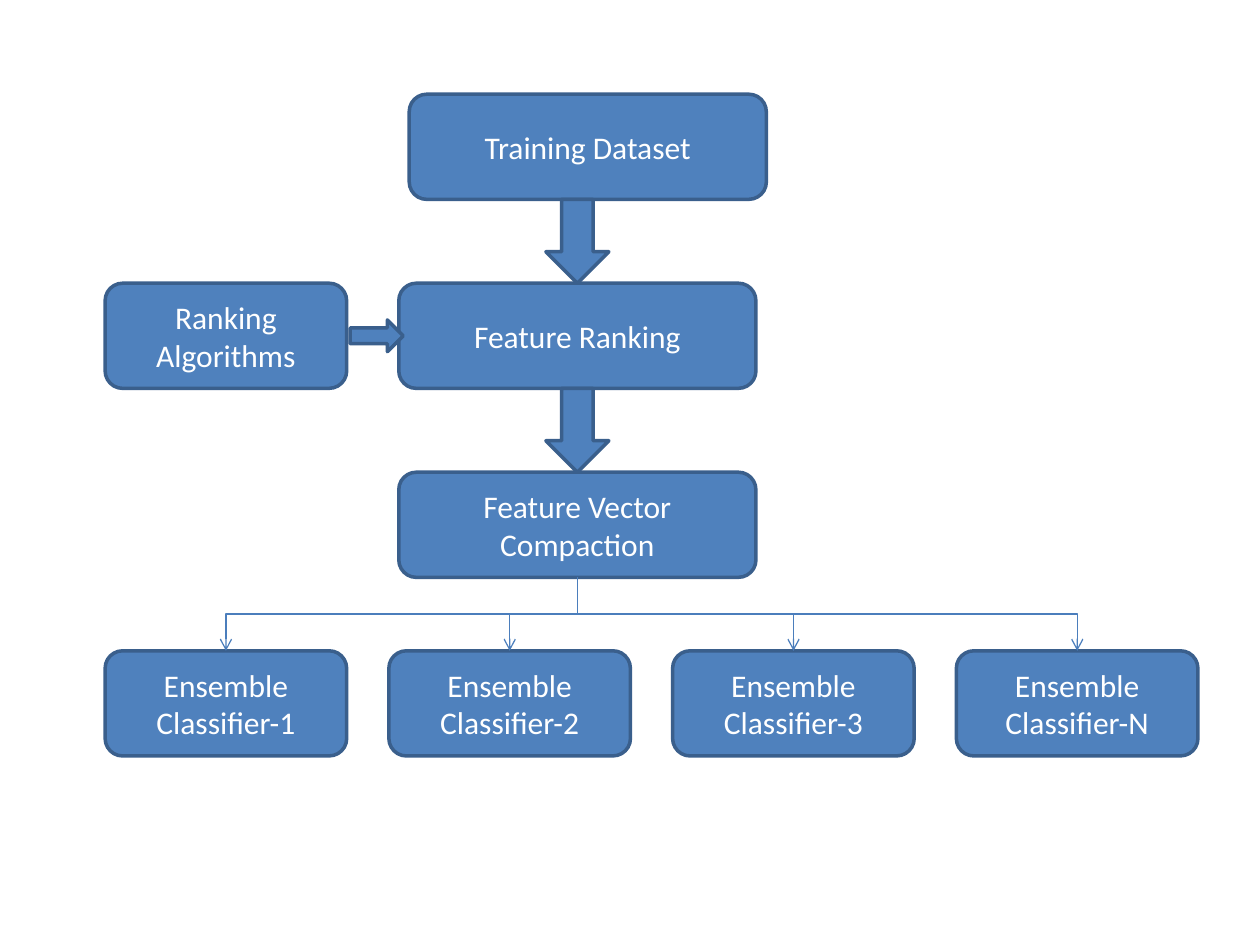
"""Build a flow chart of feature ranking that feeds an ensemble of classifiers."""
from lxml import etree
from pptx import Presentation
from pptx.dml.color import RGBColor
from pptx.enum.shapes import MSO_CONNECTOR as CONN, MSO_SHAPE as SHAPE
from pptx.enum.text import MSO_ANCHOR as ANCHOR, PP_ALIGN as ALIGN
from pptx.oxml.ns import qn
from pptx.util import Cm, Pt

WIDE, NARROW, BOX_H = 7.2, 4.87, 2.12
LEFT, MAIN_LEFT, TOP, PITCH = 2.12, 8.04, 1.9, 3.81
CLASSIFIER_TOP, CLASSIFIER_PITCH = 13.12, 5.72
ARROW_W = 1.27


def rgb(hex_code):
    return RGBColor.from_string(hex_code)


def add_block(s, kind, x, y, w, h):
    sp = s.shapes.add_shape(kind, Cm(x), Cm(y), Cm(w), Cm(h))
    sp.shadow.inherit = False
    sp.fill.solid()
    sp.fill.fore_color.rgb = rgb("4F81BD")
    sp.line.color.rgb = rgb("3A5F8C")
    sp.line.width = Pt(2)
    return sp


def add_box(s, text, x, y, w):
    sp = add_block(s, SHAPE.ROUNDED_RECTANGLE, x, y, w, BOX_H)
    tf = sp.text_frame
    tf.word_wrap = True
    tf.vertical_anchor = ANCHOR.MIDDLE
    tf.text = text
    p = tf.paragraphs[0]
    p.alignment = ALIGN.CENTER
    font = p.runs[0].font
    font.name, font.size = "Calibri", Pt(18)
    font.color.rgb = rgb("FFFFFF")
    return sp


def add_branch(s, source, target):
    x1, y1 = source.left + source.width // 2, source.top + source.height
    x2, y2 = target.left + target.width // 2, target.top
    c = s.shapes.add_connector(CONN.ELBOW, x1, y1, x2, y2)
    c.begin_connect(source, 2)
    c.end_connect(target, 0)
    c.width, c.height = y2 - y1, abs(x2 - x1)
    c.left = (x1 + x2 - c.width) // 2
    c.top = (y1 + y2 - c.height) // 2
    to_right = x2 > x1
    spPr = c._element.spPr
    xfrm = spPr.find(qn("a:xfrm"))
    xfrm.set("rot", "16200000" if to_right else "5400000")
    xfrm.set("flipH", "1" if to_right else "0")
    xfrm.set("flipV", "0")
    c.line.color.rgb = rgb("4B7EBC")
    c.line.width = Pt(0.75)
    etree.SubElement(spPr.find(qn("a:ln")), qn("a:tailEnd"), type="arrow")
    etree.SubElement(spPr, qn("a:effectLst"))


def main():
    prs = Presentation()
    prs.slide_width, prs.slide_height = Cm(25.4), Cm(19.05)
    s = prs.slides.add_slide(prs.slide_layouts[6])

    arrow_left = MAIN_LEFT + (WIDE - ARROW_W) / 2
    steps = [("Training Dataset", 8.25), ("Feature Ranking", MAIN_LEFT),
             ("Feature Vector Compaction", MAIN_LEFT)]
    for i, (text, x) in enumerate(steps):
        y = TOP + i * PITCH
        if i:
            add_block(s, SHAPE.DOWN_ARROW, arrow_left, y - PITCH + BOX_H,
                      ARROW_W, PITCH - BOX_H)
        last = add_box(s, text, x, y, WIDE)

    ranking_top = TOP + PITCH
    add_box(s, "Ranking Algorithms", LEFT, ranking_top, NARROW)
    add_block(s, SHAPE.RIGHT_ARROW, 7.06, ranking_top + 0.74, 1.07, 0.64)

    for i, label in enumerate("123N"):
        box = add_box(s, f"Ensemble Classifier-{label}",
                      LEFT + i * CLASSIFIER_PITCH, CLASSIFIER_TOP, NARROW)
        add_branch(s, last, box)

    prs.save("out.pptx")


main()
